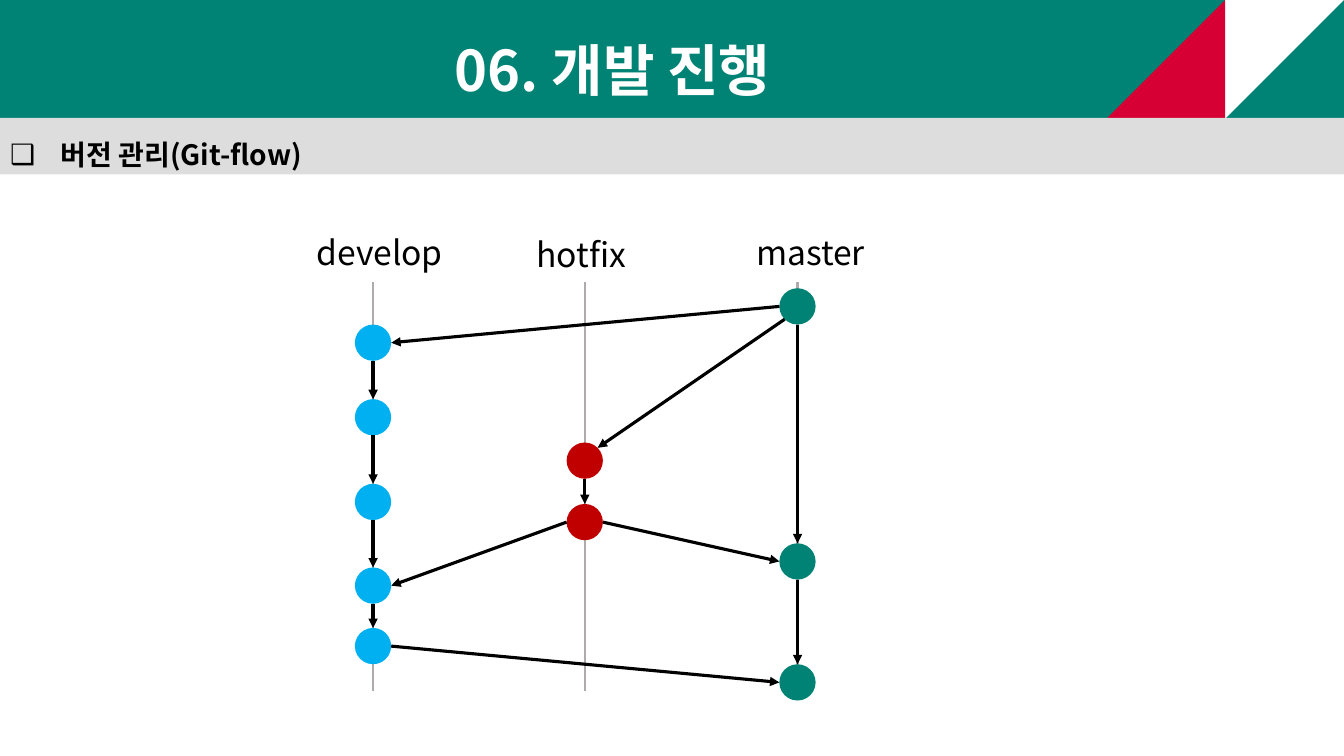
from math import sqrt
from lxml.etree import SubElement
from pptx import Presentation
from pptx.dml.color import RGBColor
from pptx.enum.shapes import MSO_CONNECTOR, MSO_SHAPE
from pptx.enum.text import MSO_ANCHOR, MSO_AUTO_SIZE, PP_ALIGN
from pptx.oxml.ns import qn
from pptx.util import Inches, Pt

GREEN = RGBColor(0x00, 0x83, 0x75)
RED = RGBColor(0xD6, 0x00, 0x34)
WHITE = RGBColor(0xFF, 0xFF, 0xFF)
BLACK = RGBColor(0x00, 0x00, 0x00)
PALE = RGBColor(0xDD, 0xDD, 0xDD)
GRAY = RGBColor(0xAF, 0xAB, 0xAB)
BLUE = RGBColor(0x00, 0xB0, 0xF0)
CRIMSON = RGBColor(0xC0, 0x00, 0x00)

WIDTH, BAND = 13.33, 1.18
RADIUS = 0.18
DIAG = 1 / sqrt(2)
SIDES = {"top": (0, -1), "left": (-1, 0), "bottom": (0, 1), "right": (1, 0),
         "lower left": (-DIAG, DIAG), "upper right": (DIAG, -DIAG)}


class Painter:
    font = "Noto Sans CJK KR"

    def __init__(self, slide):
        self.slide = slide
        self.shapes = slide.shapes

    def shape(self, kind, left, top, width, height, fill, turn=0):
        item = self.shapes.add_shape(
            kind, Inches(left), Inches(top), Inches(width), Inches(height))
        item.shadow.inherit = False
        item.fill.solid()
        item.fill.fore_color.rgb = fill
        item.line.fill.background()
        item.rotation = turn

    def text(self, item, words, size, color=BLACK, bold=False,
             align=PP_ALIGN.LEFT):
        frame = item.text_frame
        frame.word_wrap = True
        frame.auto_size = MSO_AUTO_SIZE.NONE
        frame.vertical_anchor = MSO_ANCHOR.MIDDLE
        frame.text = words
        para = frame.paragraphs[0]
        para.alignment = align
        para.font.name = self.font
        para.font.size = Pt(size)
        para.font.bold = bold
        para.font.color.rgb = color
        # Korean letters take the East Asian font
        props = para._p.pPr.find(qn("a:defRPr"))
        SubElement(props, qn("a:ea")).set("typeface", self.font)
        return para

    def place(self, item, left, top, width, height):
        item.left, item.top = Inches(left), Inches(top)
        item.width, item.height = Inches(width), Inches(height)
        self.shapes._spTree.append(item._element)

    def title(self, words, *box):
        item = self.shapes.title
        self.place(item, *box)
        self.text(item, words, 40, WHITE, True, PP_ALIGN.CENTER)

    def topic(self, words, *box):
        item = self.slide.placeholders[1]
        self.place(item, *box)
        item.fill.solid()
        item.fill.fore_color.rgb = PALE
        para = self.text(item, words, 20, bold=True)
        para.line_spacing = 1.5
        para.space_before = Pt(4)
        props = para._p.pPr
        props.set("marL", str(Inches(0.5)))
        props.set("indent", str(Inches(-0.5)))
        mark = SubElement(props, qn("a:buChar"))
        mark.set("char", "❑")
        props.find(qn("a:defRPr")).addprevious(mark)

    def label(self, words, left, top):
        box = self.shapes.add_textbox(
            Inches(left), Inches(top), Inches(1.71), Inches(0.5))
        self.text(box, words, 24)

    def line(self, start, end, color, width, arrow=False):
        item = self.shapes.add_connector(
            MSO_CONNECTOR.STRAIGHT, *map(Inches, start + end))
        item.line.color.rgb = color
        item.line.width = Pt(width)
        if arrow:
            SubElement(item.line._ln, qn("a:tailEnd")).set("type", "triangle")
        SubElement(item._element.spPr, qn("a:effectLst"))

    def dot(self, x, y, fill):
        self.shape(MSO_SHAPE.OVAL, x - RADIUS, y - RADIUS,
                   2 * RADIUS, 2 * RADIUS, fill)


def rim(center, side):
    return tuple(c + RADIUS * d for c, d in zip(center, SIDES[side]))


def main():
    deck = Presentation()
    deck.slide_width, deck.slide_height = Inches(WIDTH), Inches(7.5)
    pen = Painter(deck.slides.add_slide(deck.slide_layouts[1]))

    # Header band with corner triangles
    pen.shape(MSO_SHAPE.RECTANGLE, 0, 0, WIDTH, BAND, GREEN)
    for left, fill, turn in ((WIDTH - BAND, WHITE, 90),
                             (WIDTH - 2 * BAND, RED, 270)):
        pen.shape(MSO_SHAPE.RIGHT_TRIANGLE, left, 0, BAND, BAND, fill, turn)
    pen.title("06. 개발 진행", 0, 0.3, 12.15, 0.77)
    pen.topic("버전 관리(Git-flow)", 0, 1.17, WIDTH, 0.56)

    # Branches: name, label left and top, lane x, colour, commit heights
    lanes = (
        ("develop", 3.04, 2.25, 3.7, BLUE, (3.4, 4.14, 4.98, 5.81, 6.41)),
        ("hotfix", 5.22, 2.27, 5.8, CRIMSON, (4.57, 5.18)),
        ("master", 7.4, 2.25, 7.91, GREEN, (3.04, 5.57, 6.77)),
    )
    spots = {}
    for name, left, top, x, fill, rows in lanes:
        pen.line((x, 2.8), (x, 6.86), GRAY, 1.5)
        pen.label(name, left, top)
        spots[name] = [(x, y) for y in rows]
        for y in rows:
            pen.dot(x, y, fill)

    # Steps within each branch
    for dots in spots.values():
        for a, b in zip(dots, dots[1:]):
            pen.line(rim(a, "bottom"), rim(b, "top"), BLACK, 2.25, True)

    # Branching and merging between lanes
    dev, fix, trunk = spots.values()
    for a, out, b, into in (
        (trunk[0], "left", dev[0], "right"),
        (trunk[0], "lower left", fix[0], "upper right"),
        (fix[1], "left", dev[3], "right"),
        (fix[1], "right", trunk[1], "left"),
        (dev[4], "right", trunk[2], "left"),
    ):
        pen.line(rim(a, out), rim(b, into), BLACK, 2.25, True)

    deck.save("out.pptx")


if __name__ == "__main__":
    main()
